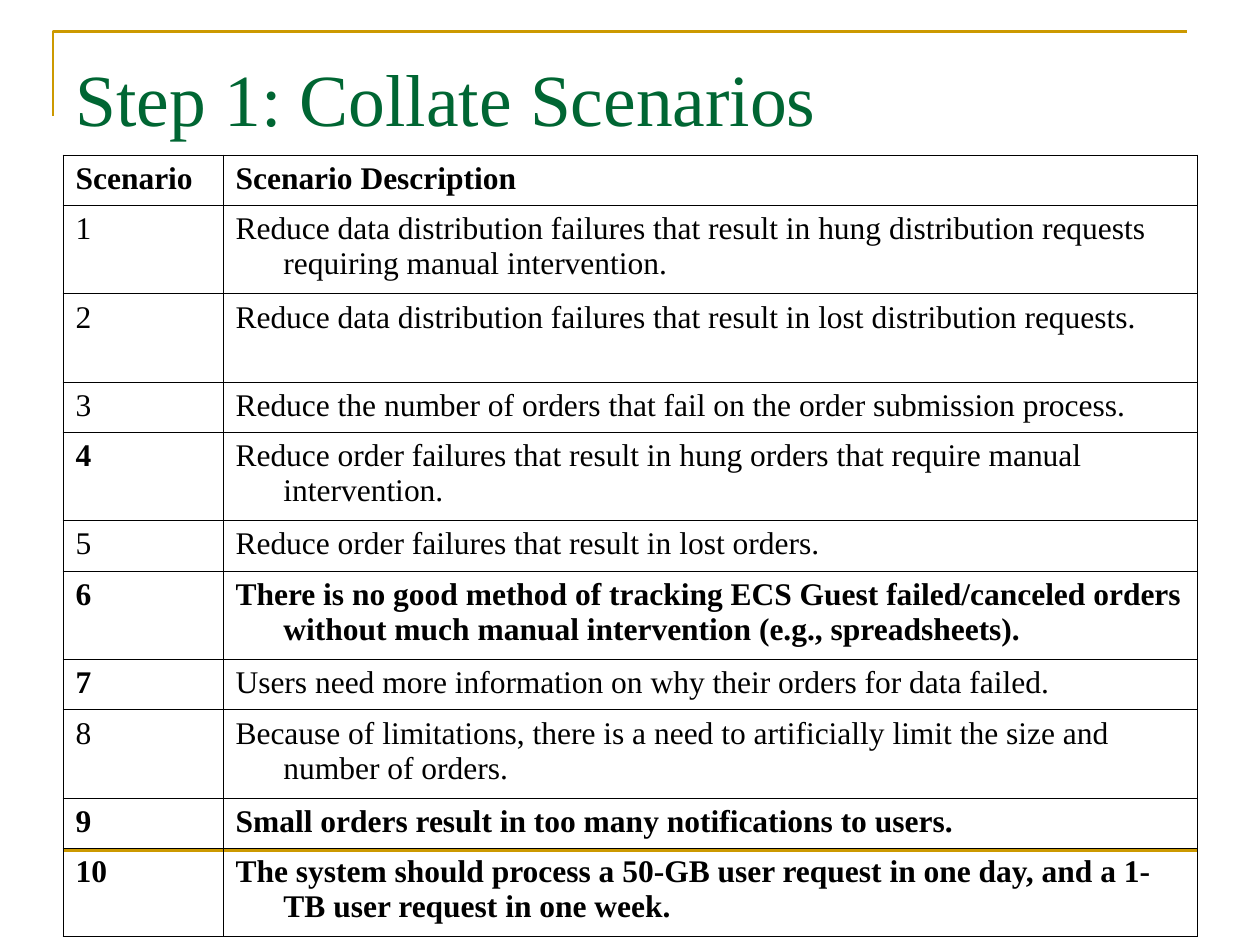
"""Build the slide that lists the collated scenarios of step 1."""
from lxml import etree
from pptx import Presentation
from pptx.dml.color import RGBColor
from pptx.enum.shapes import MSO_CONNECTOR
from pptx.enum.text import MSO_ANCHOR
from pptx.oxml.ns import qn
from pptx.util import Inches, Pt

STRAIGHT = MSO_CONNECTOR.STRAIGHT
TOP = MSO_ANCHOR.TOP
ONE_LINE, TWO_LINES = 0.4, 0.7

ROWS = [
    ("Scenario", True, "Scenario Description", True, ONE_LINE),
    ("1", False, "Reduce data distribution failures that result in hung distribution requests "
     "requiring manual intervention.", False, TWO_LINES),
    ("2", False, "Reduce data distribution failures that result in lost distribution requests.",
     False, TWO_LINES),
    ("3", False, "Reduce the number of orders that fail on the order submission process.",
     False, ONE_LINE),
    ("4", True, "Reduce order failures that result in hung orders that require manual "
     "intervention.", False, TWO_LINES),
    ("5", False, "Reduce order failures that result in lost orders.", False, ONE_LINE),
    ("6", True, "There is no good method of tracking ECS Guest failed/canceled orders "
     "without much manual intervention (e.g., spreadsheets).", True, TWO_LINES),
    ("7", True, "Users need more information on why their orders for data failed.",
     False, ONE_LINE),
    ("8", False, "Because of limitations, there is a need to artificially limit the size and "
     "number of orders.", False, TWO_LINES),
    ("9", True, "Small orders result in too many notifications to users.", True, ONE_LINE),
    ("10", True, "The system should process a 50-GB user request in one day, and a 1-TB user "
     "request in one week.", True, TWO_LINES),
]


def colour(value):
    return RGBColor.from_string(value)


def apply(target, values):
    for name, value in values.items():
        setattr(target, name, value)


class ScenarioSlide:
    """Hold the style and the current slide, and draw each kind of element."""

    font = "Times New Roman"
    gold, green, black = "CC9900", "006633", "000000"
    rule_width, border_width = Pt(1.5), Pt(0.45)
    title_frame = {"word_wrap": True, "vertical_anchor": TOP, "margin_top": Inches(0.12)}
    cell_margins = {"margin_left": Inches(0.1), "margin_right": Inches(0.1),
                    "margin_top": Inches(0.05), "margin_bottom": Inches(0.05)}
    hanging = {"marL": str(Inches(0.38)), "indent": str(Inches(-0.38))}

    def __init__(self, page):
        self.page = page

    def add_text(self, para, text, size, shade, bold=False):
        span = para.add_run()
        span.text = text
        apply(span.font, {"name": self.font, "size": Pt(size), "bold": bold})
        span.font.color.rgb = colour(shade)

    def stroke(self, line):
        line.color.rgb = colour(self.gold)
        line.width = self.rule_width

    def bracket(self, points):
        start, *others = [(Inches(x), Inches(y)) for x, y in points]
        builder = self.page.shapes.build_freeform(*start)
        builder.add_line_segments(others, close=False)
        shape = builder.convert_to_shape()
        shape.shadow.inherit = False
        shape.fill.background()
        self.stroke(shape.line)

    def rule(self, left, right, top):
        connector = self.page.shapes.add_connector(
            STRAIGHT, Inches(left), Inches(top), Inches(right), Inches(top))
        self.stroke(connector.line)
        etree.SubElement(connector._element.spPr, qn("a:effectLst"))

    def title(self, text, left, top, width, height):
        box = self.page.shapes.add_textbox(
            Inches(left), Inches(top), Inches(width), Inches(height))
        apply(box.text_frame, self.title_frame)
        self.add_text(box.text_frame.paragraphs[0], text, 42, self.green)

    def border(self, cell):
        properties = cell._tc.get_or_add_tcPr()
        for side in ("lnL", "lnR", "lnT", "lnB"):
            edge = etree.SubElement(properties, qn(f"a:{side}"), w=str(self.border_width))
            fill = etree.SubElement(edge, qn("a:solidFill"))
            etree.SubElement(fill, qn("a:srgbClr"), val=self.black)

    def cell(self, cell, text, bold):
        apply(cell, self.cell_margins)
        self.border(cell)
        cell.fill.background()
        para = cell.text_frame.paragraphs[0]
        properties = para._p.get_or_add_pPr()
        for name, value in self.hanging.items():
            properties.set(name, value)
        self.add_text(para, text, 18, self.black, bold)

    def table(self, rows, left, top, widths):
        total = sum(row[-1] for row in rows)
        table = self.page.shapes.add_table(
            len(rows), len(widths), Inches(left), Inches(top),
            Inches(sum(widths)), Inches(total)).table
        apply(table, {"first_row": False, "horz_banding": False})
        for column, width in zip(table.columns, widths):
            column.width = Inches(width)
        for row, (number, number_bold, description, bold, height) in zip(table.rows, rows):
            row.height = Inches(height)
            self.cell(row.cells[0], number, number_bold)
            self.cell(row.cells[1], description, bold)


def main():
    deck = Presentation()
    apply(deck, {"slide_width": Inches(10), "slide_height": Inches(7.5)})
    slide = ScenarioSlide(deck.slides.add_slide(deck.slide_layouts[6]))
    slide.bracket([(0.42, 0.92), (0.42, 0.25), (9.42, 0.25)])
    slide.rule(0.5, 9.5, 6.75)
    slide.title("Step 1: Collate Scenarios", 0.5, 0.3, 9, 1.25)
    slide.table(ROWS, 0.5, 1.23, [1.27, 7.73])
    deck.save("out.pptx")


if __name__ == "__main__":
    main()
